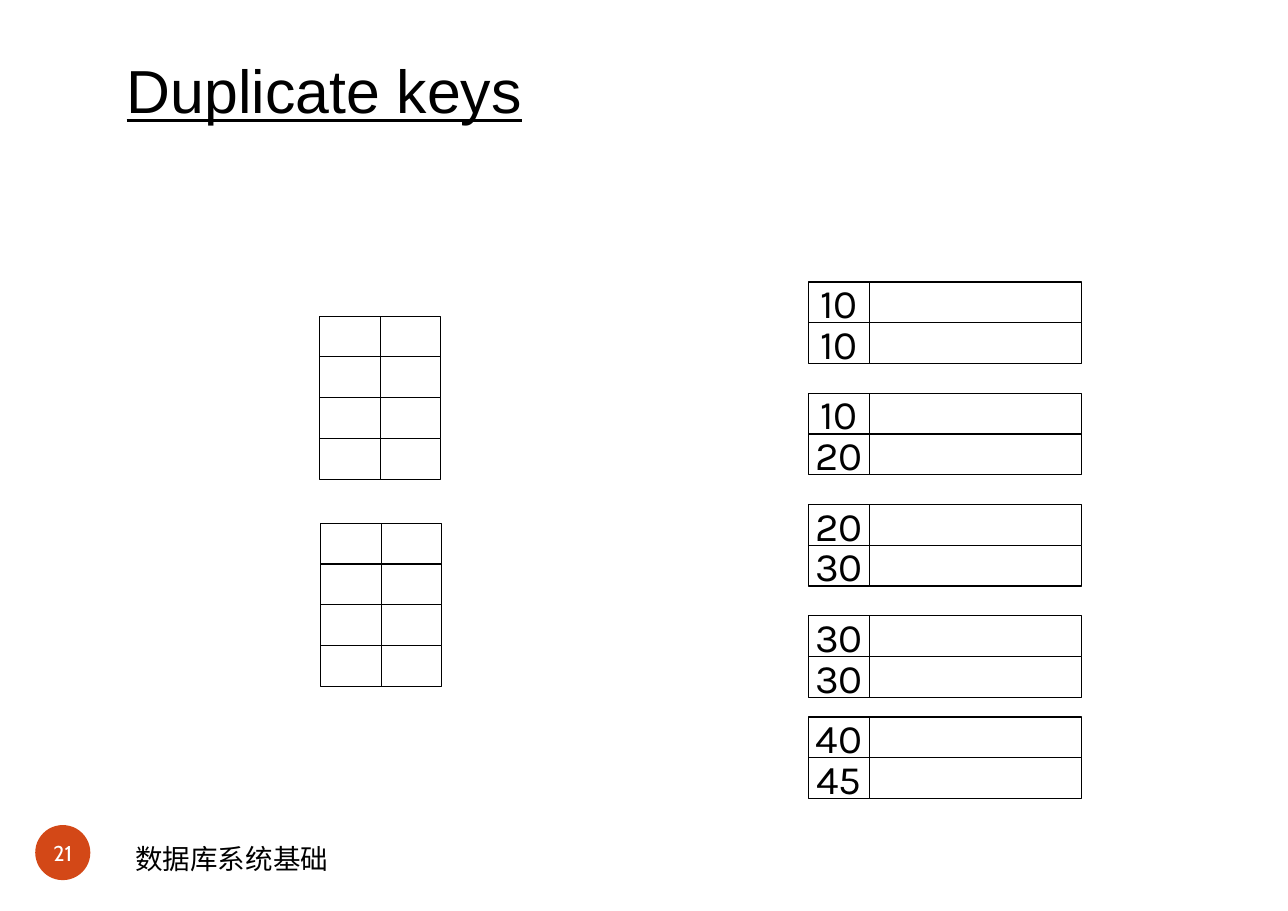
"""Build the slide on duplicate keys: two empty indexes and five data blocks."""
from pptx import Presentation
from pptx.dml.color import RGBColor
from pptx.enum.shapes import MSO_SHAPE
from pptx.enum.text import MSO_ANCHOR, PP_ALIGN
from pptx.util import Inches, Pt

RECTANGLE, OVAL = MSO_SHAPE.RECTANGLE, MSO_SHAPE.OVAL
TOP, MIDDLE = MSO_ANCHOR.TOP, MSO_ANCHOR.MIDDLE
LEFT, CENTER = PP_ALIGN.LEFT, PP_ALIGN.CENTER

TITLE = "Duplicate keys"
FOOTER = "数据库系统基础"
PAGE_NUMBER = "21"
BLOCKS = [
    (2.56, ("10", "10")),
    (3.57, ("10", "20")),
    (4.58, ("20", "30")),
    (5.59, ("30", "30")),
    (6.51, ("40", "45")),
]
INDEXES = [(2.9, 2.87), (2.91, 4.75)]
INDEX_ROWS = 4
BLOCK_LEFT = 7.34
KEY_WIDTH, RECORD_WIDTH, ROW_HEIGHT = 0.55, 1.93, 0.37
BLACK, WHITE, ORANGE = "000000", "FFFFFF", "D34817"


def colour(value):
    """Turn a hex string into a colour."""
    return RGBColor.from_string(value)


def write(shape, text, size, font, ink=BLACK, align=LEFT):
    """Put one formatted line of text in a shape."""
    shape.text_frame.text = text
    para = shape.text_frame.paragraphs[0]
    para.alignment = align
    span = para.runs[0]
    span.font.size = Pt(size)
    span.font.name = font
    span.font.color.rgb = colour(ink)
    return span


def set_insets(frame, top=0):
    """Clear the insets of a text frame, except for the top one."""
    frame.margin_left = frame.margin_right = frame.margin_bottom = 0
    frame.margin_top = Inches(top)


def add_grid(page, left, top, widths, rows):
    """Draw a group of outlined cells, with text where a row has it."""
    group = page.shapes.add_group_shape()
    for row, texts in enumerate(rows):
        for column, (width, text) in enumerate(zip(widths, texts)):
            cell = group.shapes.add_shape(
                RECTANGLE,
                Inches(left + sum(widths[:column])),
                Inches(top + row * ROW_HEIGHT),
                Inches(width),
                Inches(ROW_HEIGHT),
            )
            cell.shadow.inherit = False
            cell.fill.solid()
            cell.fill.fore_color.rgb = colour(WHITE)
            cell.line.color.rgb = colour(BLACK)
            cell.line.width = Pt(0.75)
            if text:
                cell.text_frame.word_wrap = False
                cell.text_frame.vertical_anchor = MIDDLE
                write(cell, text, 26.4, "Karla", align=CENTER)


def add_title(page):
    """Place and format the title."""
    title = page.shapes.title
    title.left, title.top = Inches(1.15), Inches(0.42)
    title.width, title.height = Inches(9.4), Inches(0.34)
    set_insets(title.text_frame, top=0.06)
    title.text_frame.vertical_anchor = TOP
    write(title, TITLE, 39.7, "Arial").font.underline = True


def add_footer(page):
    """Draw the page number badge and the course name."""
    badge = page.shapes.add_shape(
        OVAL, Inches(0.32), Inches(7.49), Inches(0.5), Inches(0.5)
    )
    badge.shadow.inherit = False
    badge.fill.solid()
    badge.fill.fore_color.rgb = colour(ORANGE)
    badge.line.fill.background()
    set_insets(badge.text_frame)
    badge.text_frame.word_wrap = False
    badge.text_frame.vertical_anchor = MIDDLE
    write(badge, PAGE_NUMBER, 14, "Cabin", WHITE, CENTER)
    course = page.shapes.add_textbox(
        Inches(1.13), Inches(7.59), Inches(2.55), Inches(0.4)
    )
    course.text_frame.word_wrap = True
    write(course, FOOTER, 18, "Calibri")


def main():
    """Build and save the deck."""
    deck = Presentation()
    deck.slide_width, deck.slide_height = Inches(11.69), Inches(8.27)
    page = deck.slides.add_slide(deck.slide_layouts[5])
    add_footer(page)
    add_title(page)
    for top, keys in BLOCKS:
        rows = [(key, "") for key in keys]
        add_grid(page, BLOCK_LEFT, top, (KEY_WIDTH, RECORD_WIDTH), rows)
    for left, top in INDEXES:
        add_grid(page, left, top, (KEY_WIDTH, KEY_WIDTH), [("", "")] * INDEX_ROWS)
    deck.save("out.pptx")


if __name__ == "__main__":
    main()
